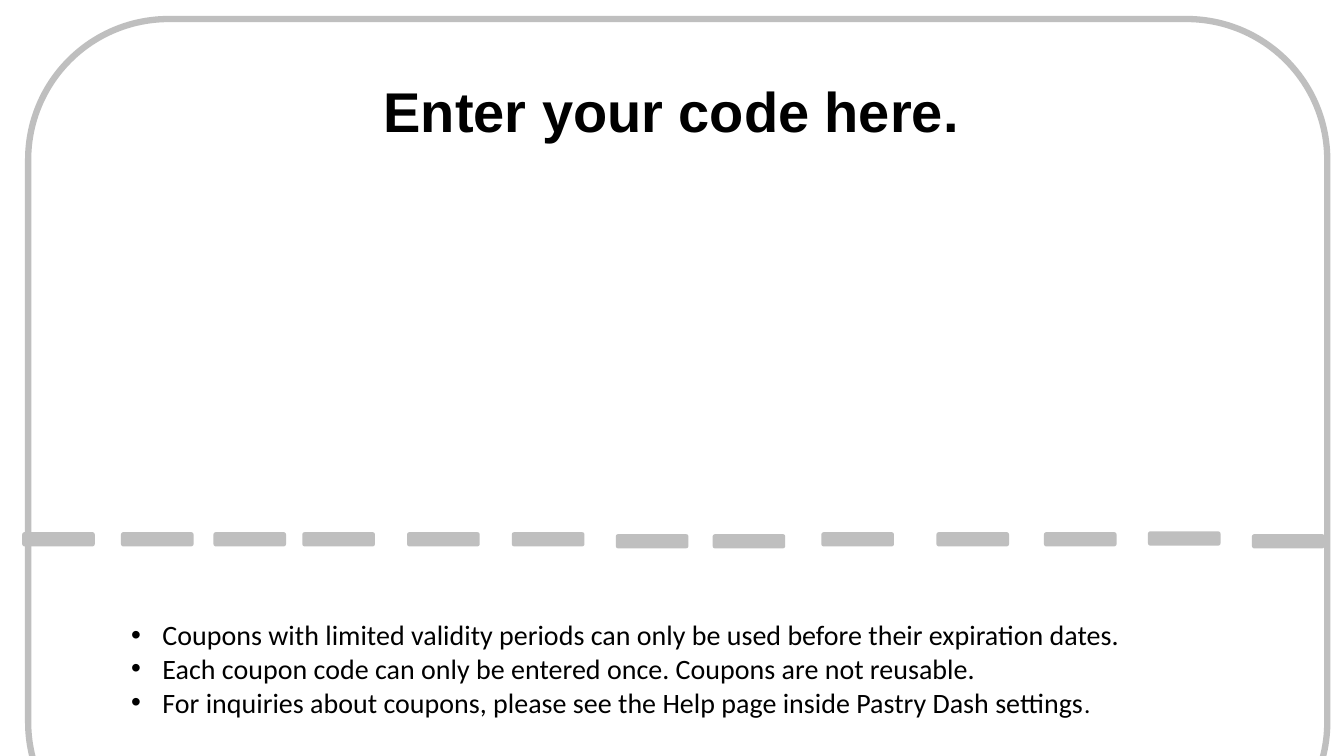
from dataclasses import dataclass
from lxml import etree
from pptx import Presentation
from pptx import util as u
from pptx.dml.color import RGBColor
from pptx.enum import shapes, text
from pptx.oxml import ns


@dataclass(frozen=True)
class Theme:
    paper: RGBColor = RGBColor(0xFF, 0xFF, 0xFF)
    ink: RGBColor = RGBColor(0x00, 0x00, 0x00)
    grey: RGBColor = RGBColor(0xBF, 0xBF, 0xBF)
    title_font: str = "Arial"
    body_font: str = "Calibri"
    title_size: int = 40
    body_size: int = 20
    stop_size: int = 18
    frame_line: float = 4.5


theme = Theme()


def add_round_rect(s, left, top, width, height, fill):
    sp = s.shapes.add_shape(shapes.MSO_SHAPE.ROUNDED_RECTANGLE,
                            u.Cm(left), u.Cm(top), u.Cm(width), u.Cm(height))
    sp.shadow.inherit = False
    sp.fill.solid()
    sp.fill.fore_color.rgb = fill
    sp.line.fill.background()
    return sp


def add_run(p, words, font, size, bold=False):
    r = p.add_run()
    r.text = words
    r.font.name = font
    r.font.size = u.Pt(size)
    r.font.bold = bold
    r.font.color.rgb = theme.ink


prs = Presentation()
prs.slide_width, prs.slide_height = u.Cm(33.87), u.Cm(19.05)
s = prs.slides.add_slide(prs.slide_layouts[1])
title, body = s.placeholders

frame = add_round_rect(s, 0.71, 0.48, 32.74, 21.26, theme.paper)
frame.line.color.rgb = theme.grey
frame.line.width = u.Pt(theme.frame_line)
s.shapes._spTree.insert(2, frame._element)

for sp, box in ((title, (8.66, 1.8, 16.51, 1.96)), (body, (3.05, 15.44, 28.93, 3.58))):
    sp.left, sp.top, sp.width, sp.height = map(u.Cm, box)
    tf = sp.text_frame
    tf.word_wrap = True
    tf.auto_size = text.MSO_AUTO_SIZE.NONE
    tf.vertical_anchor = text.MSO_ANCHOR.TOP

p = title.text_frame.paragraphs[0]
p.alignment = text.PP_ALIGN.CENTER
add_run(p, "Enter your code here.", theme.title_font, theme.title_size, True)

dash_lefts = (0.56, 3.05, 5.38, 7.62, 10.26, 12.9, 15.52, 17.96, 20.7, 23.6, 26.31, 28.93, 31.55)
dash_tops = {15.52: 13.46, 17.96: 13.46, 28.93: 13.39, 31.55: 13.46}
for left in dash_lefts:
    add_round_rect(s, left, dash_tops.get(left, 13.41), 1.83, 0.36, theme.grey)

notes = (
    (("Coupons with limited validity periods can only be used before their expiration dates.", theme.body_size),),
    (("Each coupon code can only be entered once. Coupons are not reusable.", theme.body_size),),
    (("For inquiries about coupons, please see the Help page inside Pastry Dash settings", theme.body_size),
     (".", theme.stop_size)),
)
tf = body.text_frame
for i, runs in enumerate(notes):
    p = tf.add_paragraph() if i else tf.paragraphs[0]
    p.space_before = u.Pt(0)
    pPr = p._p.get_or_add_pPr()
    pPr.set("marL", str(u.Cm(0.79)))
    pPr.set("indent", str(u.Cm(-0.79)))
    etree.SubElement(pPr, ns.qn("a:buFont")).set("typeface", "Arial")
    etree.SubElement(pPr, ns.qn("a:buChar")).set("char", "•")
    for words, size in runs:
        add_run(p, words, theme.body_font, size)

prs.save("out.pptx")
